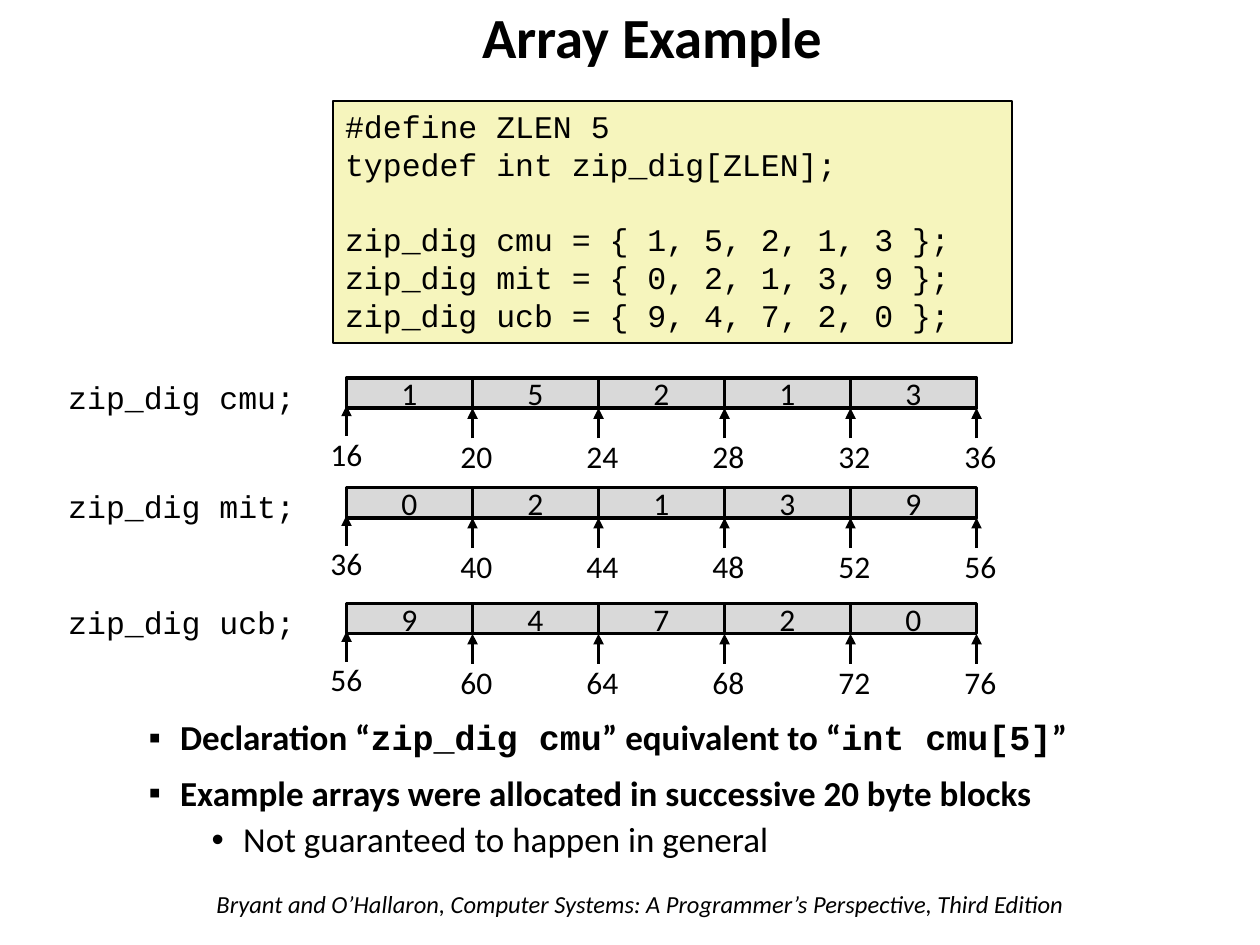
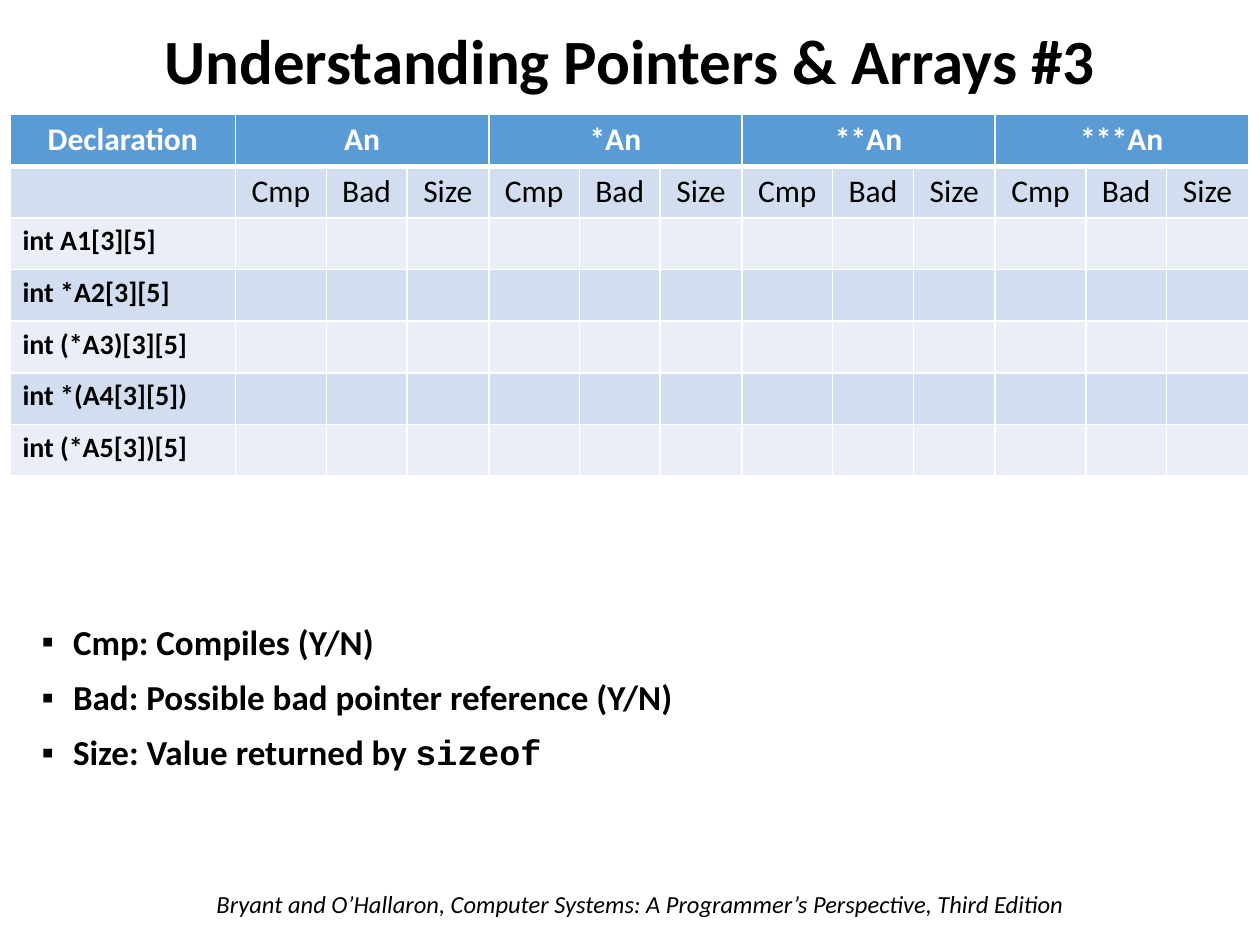
from pptx import Presentation, util as u
from pptx.dml import color
from pptx.enum import shapes, text
from pptx.oxml import ns
from lxml import etree

COLS, ROWS = 10, 7.5  # grid over the whole slide
SANS, MONO = "Calibri", "Courier New"
BLACK, WHITE = "000000", "FFFFFF"
CODE_FILL, CELL_FILL = "F6F5BD", "D9D9D9"
HEADER, BANDS = "5B9BD5", ("EAEFF7", "D2DEEF")
LEFT, CENTER, RIGHT = text.PP_ALIGN.LEFT, text.PP_ALIGN.CENTER, text.PP_ALIGN.RIGHT
FOOTER = ("Bryant and O’Hallaron, Computer Systems: "
          "A Programmer’s Perspective, Third Edition")
BULLETS = [("▪", 0.25, 10), ("•", 0.75, 5)]  # character, indent, space before


def rgb(value):
    return color.RGBColor.from_string(value)


def add_xml(parent, tag, **attrs):
    return etree.SubElement(parent, ns.qn(tag), attrs)


class Deck:
    """Holds the style, the current slide and the shapes being added to."""

    def __init__(self):
        self.prs = Presentation()
        self.prs.slide_width, self.prs.slide_height = u.Inches(10), u.Inches(7.5)

    def x(self, cols):
        return round(self.prs.slide_width * cols / COLS)

    def y(self, rows):
        return round(self.prs.slide_height * rows / ROWS)

    def box(self, left, top, width, height):
        return self.x(left), self.y(top), self.x(width), self.y(height)

    def place(self, sp, area):
        sp.left, sp.top, sp.width, sp.height = self.box(*area)

    def style(self, p, size=18, font=SANS, fill=BLACK, bold=False,
              italic=False, align=LEFT):
        p.alignment = align
        for r in p.runs:
            f = r.font
            f.size, f.name, f.bold, f.italic = u.Pt(size), font, bold, italic
            f.color.rgb = rgb(fill)

    def set_text(self, tf, words, **look):
        tf.text = words
        for p in tf.paragraphs:
            self.style(p, **look)

    # Slide and placeholders
    def slide(self, title, area, size):
        self.s = self.prs.slides.add_slide(self.prs.slide_layouts[1])
        self.canvas = self.s.shapes
        self.label(FOOTER, (1.62, 7.01, 7.1, 0.34), size=14, italic=True)
        sp = self.s.shapes.title
        self.place(sp, area)
        tf = sp.text_frame
        tf.auto_size = text.MSO_AUTO_SIZE.NONE
        tf.vertical_anchor = text.MSO_ANCHOR.MIDDLE
        self.set_text(tf, title, size=size, bold=True, align=CENTER)
        tf.paragraphs[0].line_spacing = 0.9

    def bullets(self, items, area):
        """Items are (level, words); words between backticks are code."""
        sp = self.s.placeholders[1]
        self.place(sp, area)
        tf = sp.text_frame
        tf.auto_size = text.MSO_AUTO_SIZE.NONE
        for i, (level, words) in enumerate(items):
            p = tf.add_paragraph() if i else tf.paragraphs[0]
            char, indent, before = BULLETS[level]
            p.level = level
            pPr = p._p.get_or_add_pPr()
            pPr.set("marL", str(u.Inches(indent)))
            pPr.set("indent", str(-u.Inches(0.25)))
            add_xml(pPr, "a:buFont", typeface="Arial")
            add_xml(pPr, "a:buChar", char=char)
            p.line_spacing = 0.9
            p.space_before = u.Pt(before if i else 0)
            for part in words.split("`"):
                p.add_run().text = part
            self.style(p, size=20, bold=level == 0)
            for r in p.runs[1::2]:
                r.font.name = MONO

    # Shapes
    def group(self):
        self.canvas = self.s.shapes.add_group_shape().shapes

    def ungroup(self):
        self.canvas = self.s.shapes

    def label(self, words, area, **look):
        tf = self.canvas.add_textbox(*self.box(*area)).text_frame
        tf.word_wrap = True
        self.set_text(tf, words, **look)

    def rect(self, words, area, fill, line, anchor, wrap, **look):
        sp = self.canvas.add_shape(shapes.MSO_SHAPE.RECTANGLE, *self.box(*area))
        sp.shadow.inherit = False
        sp.fill.solid()
        sp.fill.fore_color.rgb = rgb(fill)
        sp.line.color.rgb = rgb(BLACK)
        sp.line.width = u.Pt(line)
        tf = sp.text_frame
        tf.word_wrap, tf.vertical_anchor = wrap, anchor
        self.set_text(tf, words, **look)

    def arrow_up(self, col, bottom, top):
        c = self.canvas.add_connector(shapes.MSO_CONNECTOR.STRAIGHT, self.x(col),
                                      self.y(bottom), self.x(col), self.y(top))
        c.line.color.rgb = rgb(BLACK)
        c.line.width = u.Pt(2)
        add_xml(c.line._get_or_add_ln(), "a:tailEnd", type="triangle")
        add_xml(c._element.spPr, "a:effectLst")

    # Table
    def table(self, rows, cols, left, top, row_height):
        area = (left, top, sum(cols), row_height * rows)
        t = self.s.shapes.add_table(rows, len(cols), *self.box(*area)).table
        for column, width in zip(t.columns, cols):
            column.width = self.x(width)
        for row in t.rows:
            row.height = self.y(row_height)
        for r in range(rows):
            for c in range(len(cols)):
                cell = t.cell(r, c)
                self.borders(cell, top=3 if r == 1 else 1, bottom=1 if r else 3)
                cell.fill.solid()
                cell.fill.fore_color.rgb = rgb(BANDS[r % 2] if r else HEADER)
        return t

    def borders(self, cell, top, bottom):
        tcPr = cell._tc.get_or_add_tcPr()
        for side, width in (("L", 1), ("R", 1), ("T", top), ("B", bottom)):
            ln = add_xml(tcPr, f"a:ln{side}", w=str(u.Pt(width)))
            add_xml(add_xml(ln, "a:solidFill"), "a:srgbClr", val=WHITE)


def memory_row(deck, name, digits, address, top):
    """One array: its declaration, its cells and the address of each edge."""
    left, height = 2.75, 0.24
    deck.ungroup()
    deck.label(f"zip_dig {name};", (0, top - 0.05, 2.44, 0.4),
               font=MONO, align=RIGHT)
    deck.group()
    for i, digit in enumerate(digits):
        deck.rect(digit, (left + i, top, 1, height), CELL_FILL, 2,
                  text.MSO_ANCHOR.MIDDLE, False, align=CENTER)
    for i in range(len(digits) + 1):
        edge = left + i
        # The first mark sits a little higher and further left
        lift, shift, width = (0, 0.03, 1.08) if i else (0.02, 0, 0.73)
        deck.label(str(address + 4 * i),
                   (edge + shift - width / 2, top + 0.42 - lift, width, 0.4),
                   align=CENTER)
        deck.arrow_up(edge, top + 0.48 - lift, top + height - lift)


def array_example(deck):
    deck.slide("Array Example", (2.18, 0, 5.99, 0.63), 32.4)
    deck.bullets([
        (0, "Declaration “`zip_dig cmu`” equivalent to “`int cmu[5]`”"),
        (0, "Example arrays were allocated in successive 20 byte blocks"),
        (1, "Not guaranteed to happen in general"),
    ], (1.08, 5.67, 8.08, 1.51))

    # Code
    arrays = [("cmu", "15213", 3), ("mit", "02139", 3.87), ("ucb", "94720", 4.79)]
    code = ["#define ZLEN 5", "typedef int zip_dig[ZLEN];", ""]
    code += [f"zip_dig {name} = {{ {', '.join(digits)} }};"
             for name, digits, top in arrays]
    deck.rect("\n".join(code), (2.64, 0.8, 5.39, 1.92), CODE_FILL, 1,
              text.MSO_ANCHOR.TOP, True, font=MONO)

    # Memory layout
    for i, (name, digits, top) in enumerate(arrays):
        memory_row(deck, name, digits, 16 + 20 * i, top)


def pointers_and_arrays(deck):
    deck.slide("Understanding Pointers & Arrays #3", (0, 0, 10, 1.02), 36)
    deck.bullets([
        (0, "Cmp: Compiles (Y/N)"),
        (0, "Bad: Possible bad pointer reference (Y/N)"),
        (0, "Size: Value returned by `sizeof`"),
    ], (0.23, 4.91, 5.92, 1.68))

    # Exercise table
    expressions = ["An", "*An", "**An", "***An"]
    questions = ["Cmp", "Bad", "Size"]
    declarations = ["int A1[3][5]", "int *A2[3][5]", "int (*A3)[3][5]",
                    "int *(A4[3][5])", "int (*A5[3])[5]"]
    widths = [1.79] + [0.72, 0.64, 0.65] * len(expressions)
    t = deck.table(2 + len(declarations), widths, 0.08, 0.91, 0.41)

    head = dict(fill=WHITE, bold=True, align=CENTER)
    deck.set_text(t.cell(0, 0).text_frame, "Declaration", **head)
    for i, expression in enumerate(expressions):
        first = 1 + i * len(questions)
        t.cell(0, first).merge(t.cell(0, first + len(questions) - 1))
        deck.set_text(t.cell(0, first).text_frame, expression, **head)
        for j, question in enumerate(questions):
            deck.set_text(t.cell(1, first + j).text_frame, question, align=CENTER)
    for r, declaration in enumerate(declarations, start=2):
        deck.set_text(t.cell(r, 0).text_frame, declaration, size=16, bold=True)


def main():
    deck = Deck()
    array_example(deck)
    pointers_and_arrays(deck)
    deck.prs.save("out.pptx")


if __name__ == "__main__":
    main()
